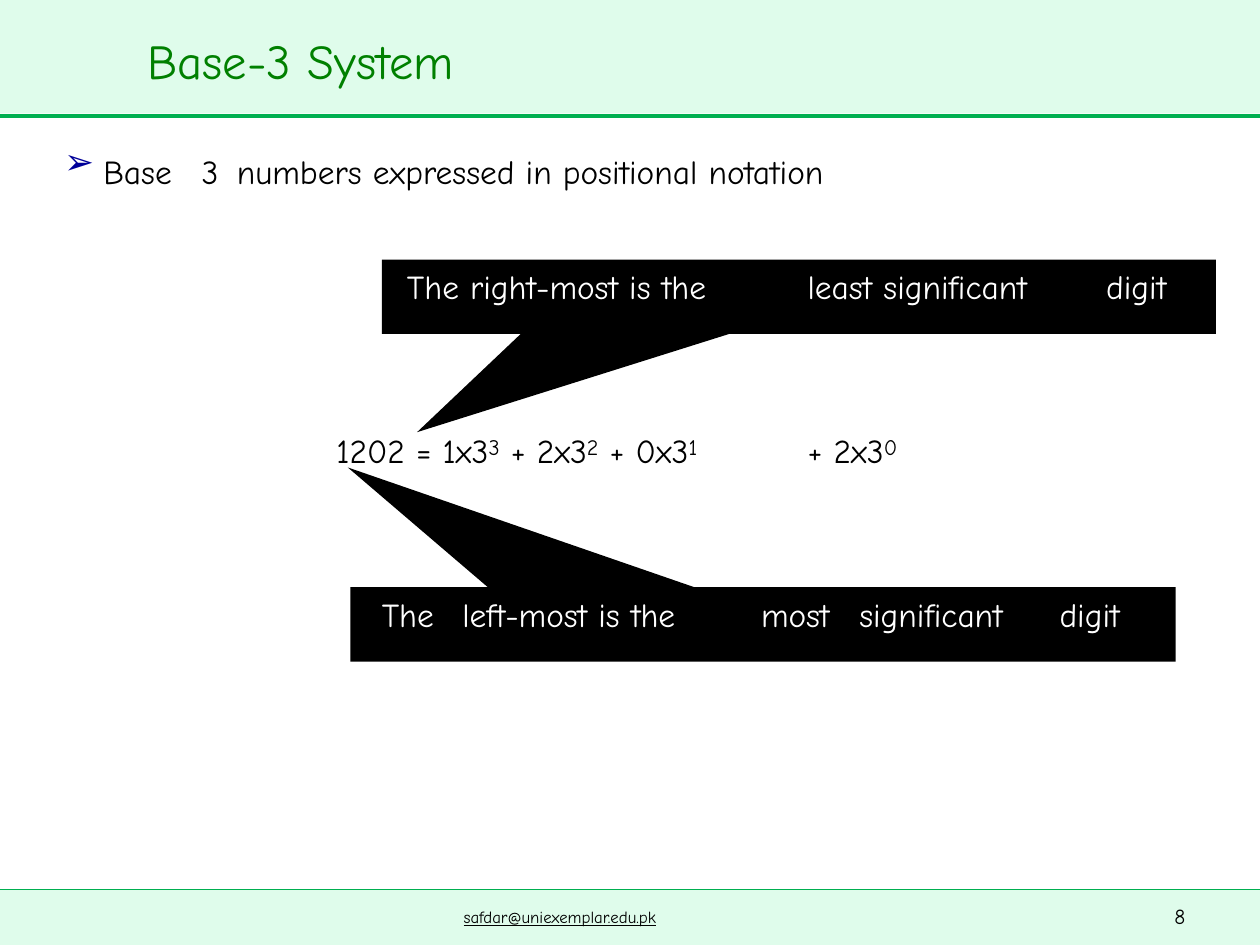
from dataclasses import dataclass

from lxml import etree
from pptx import Presentation
from pptx import util as u
from pptx.dml.color import RGBColor
from pptx.enum import shapes, text
from pptx.oxml import ns


@dataclass(frozen=True)
class Theme:
    font: str = "Comic Neue"
    bullet_font: str = "Arial"
    band: str = "DFFCEB"
    rule: str = "00AF50"
    title: str = "008000"
    bullet: str = "000099"
    dark: str = "000000"
    light: str = "FFFFFF"
    title_size: float = 48
    body_size: float = 33
    power_size: float = 21.8
    number_size: float = 21
    mail_size: float = 16.5


def color(value):
    return RGBColor.from_string(value)


def add_span(para, words, *, font, size, ink, baseline=2, underline=False):
    span = para.add_run()
    span.text = words
    span.font.name = font
    span.font.size = u.Pt(size)
    span.font.color.rgb = color(ink)
    if underline:
        span.font.underline = True
    span.font._element.set("baseline", str(baseline * 1000))


class Slide:
    """Draw styled elements on the current page."""

    def __init__(self, page, theme):
        self.page = page
        self.theme = theme

    def shape(self, kind, left, top, width, height, fill):
        shape = self.page.shapes.add_shape(
            kind, *map(u.Inches, (left, top, width, height)))
        shape.shadow.inherit = False
        shape.fill.solid()
        shape.fill.fore_color.rgb = color(fill)
        shape.line.fill.background()
        return shape

    def band(self, top, height):
        self.shape(shapes.MSO_SHAPE.RECTANGLE, 0, top, 10, height, self.theme.band)

    def rule(self, top, weight):
        line = self.page.shapes.add_connector(
            shapes.MSO_CONNECTOR.STRAIGHT,
            u.Inches(0), u.Inches(top), u.Inches(10), u.Inches(top))
        line.line.color.rgb = color(self.theme.rule)
        line.line.width = u.Pt(weight)
        etree.SubElement(line._element.spPr, ns.qn("a:effectLst"))

    def callout(self, left, top, width, height, tip):
        shape = self.shape(shapes.MSO_SHAPE.RECTANGULAR_CALLOUT,
                           left, top, width, height, self.theme.dark)
        shape.adjustments[0] = (tip[0] - left) / width - 0.5
        shape.adjustments[1] = (tip[1] - top) / height - 0.5

    def label(self, left, top, width, height, words, *, spacing=23.9, before=1.2,
              size=None, ink=None, baseline=2, underline=False):
        box = self.page.shapes.add_textbox(*map(u.Inches, (left, top, width, height)))
        frame = box.text_frame
        frame.word_wrap = True
        frame.auto_size = text.MSO_AUTO_SIZE.NONE
        frame.margin_left = frame.margin_right = 0
        frame.margin_top = frame.margin_bottom = 0
        para = frame.paragraphs[0]
        para.line_spacing = u.Pt(spacing)
        para.space_before = u.Pt(before)
        style = {"font": self.theme.font, "ink": ink or self.theme.dark}
        for index, piece in enumerate(words.split("^")):
            body = piece
            if index:
                add_span(para, piece[0], size=self.theme.power_size, baseline=23, **style)
                body = piece[1:]
            if body:
                add_span(para, body, size=size or self.theme.body_size,
                         baseline=baseline, underline=underline, **style)
        return para

    def bullet(self, para, mark, indent):
        props = para._p.get_or_add_pPr()
        props.set("marL", str(u.Inches(indent)))
        props.set("indent", str(-u.Inches(indent)))
        tint = etree.SubElement(props, ns.qn("a:buClr"))
        etree.SubElement(tint, ns.qn("a:srgbClr"), val=self.theme.bullet)
        etree.SubElement(props, ns.qn("a:buSzPct"), val="62000")
        etree.SubElement(props, ns.qn("a:buFont"), typeface=self.theme.bullet_font)
        etree.SubElement(props, ns.qn("a:buChar"), char=mark)


def main():
    theme = Theme()
    deck = Presentation()
    deck.slide_width, deck.slide_height = u.Inches(10), u.Inches(7.5)
    slide = Slide(deck.slides.add_slide(deck.slide_layouts[6]), theme)

    slide.band(0, 0.9)
    slide.rule(0.92, 2)
    slide.band(7.06, 0.44)
    slide.rule(7.06, 0.25)
    slide.callout(3.03, 2.06, 6.62, 0.59, (3.31, 3.43))
    slide.callout(2.78, 4.66, 6.55, 0.59, (2.76, 3.71))

    slide.label(1.17, 0.3, 3.21, 0.47, "Base-3 System", size=theme.title_size,
                ink=theme.title, spacing=34, before=1.7, baseline=1)

    intro = slide.label(0.51, 1.23, 1.08, 0.33, "Base")
    slide.bullet(intro, "➢", 0.31)

    rows = [
        (1.23, 0.33, {}, [
            (1.6, 0.26, "3"),
            (1.88, 5.87, "numbers expressed in positional notation")]),
        (2.15, 0.33, {"ink": theme.light}, [
            (3.23, 3.16, "The right-most is the"),
            (6.41, 2.36, "least significant"),
            (8.78, 0.73, "digit")]),
        (3.43, 0.34, {"spacing": 24.8, "baseline": 1}, [
            (2.67, 3.72, "1202 = 1x3^3 + 2x3^2 + 0x3^1"),
            (6.41, 0.99, "+ 2x3^0")]),
        (4.75, 0.33, {"ink": theme.light, "spacing": 24}, [
            (3.03, 0.62, "The"),
            (3.67, 2.35, "left-most is the"),
            (6.04, 0.76, "most"),
            (6.82, 1.57, "significant"),
            (8.41, 0.73, "digit")]),
    ]
    for top, height, style, phrases in rows:
        for left, width, words in phrases:
            slide.label(left, top, width, height, words, **style)

    slide.label(9.32, 7.18, 0.18, 0.22, "8", size=theme.number_size,
                spacing=16.1, before=0.8)
    slide.label(3.68, 7.2, 2.06, 0.18, "safdar@uniexemplar.edu.pk",
                size=theme.mail_size, spacing=12.9, before=0.6, underline=True)

    deck.save("out.pptx")


main()
